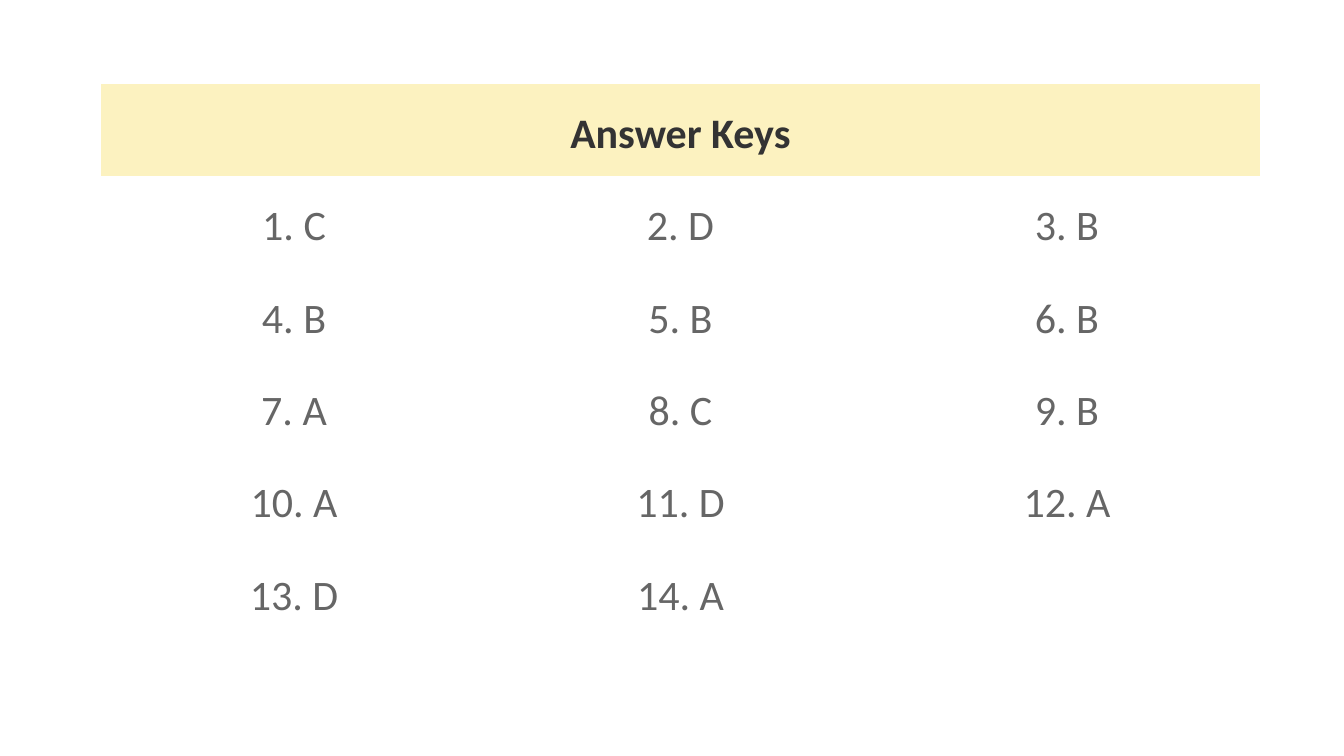
"""Build the answer key slide: a header band above a three-column grid of answers."""
from dataclasses import dataclass

from lxml.etree import SubElement
from pptx import Presentation
from pptx.dml.color import RGBColor
from pptx.enum.text import MSO_ANCHOR, PP_ALIGN
from pptx.oxml.ns import qn
from pptx.util import Inches, Pt

HEADING = "Answer Keys"
ANSWERS = "CDBBBBACBADADA"
COLUMNS = 3
ROWS = 1 + -(-len(ANSWERS) // COLUMNS)
SLIDE_WIDTH, SLIDE_HEIGHT = Inches(13.33), Inches(7.5)
TABLE_LEFT, TABLE_TOP = Inches(1), SLIDE_HEIGHT // 9
TABLE_WIDTH, TABLE_HEIGHT = Inches(11.5), Inches(5.5)


@dataclass(frozen=True)
class Theme:
    font: str = "Calibri"
    size: int = 30
    line_spacing: float = 1.15
    inset: float = 0.01
    heading: str = "333333"
    answer: str = "666666"
    band: str = "FCF2C0"
    paper: str = "FFFFFF"


THEME = Theme()


def style_cell(cell, text, color, fill, bold=False):
    properties = cell._tc.get_or_add_tcPr()
    for side in ("a:lnL", "a:lnR", "a:lnT", "a:lnB"):
        SubElement(SubElement(properties, qn(side)), qn("a:noFill"))
    cell.fill.solid()
    cell.fill.fore_color.rgb = RGBColor.from_string(fill)
    cell.vertical_anchor = MSO_ANCHOR.MIDDLE
    cell.margin_left = cell.margin_right = Inches(THEME.inset)
    cell.margin_top = cell.margin_bottom = Inches(THEME.inset)
    para = cell.text_frame.paragraphs[0]
    para.text = text
    para.alignment = PP_ALIGN.CENTER
    para.line_spacing = THEME.line_spacing
    para.font.name = THEME.font
    para.font.size = Pt(THEME.size)
    para.font.bold = bold
    para.font.color.rgb = RGBColor.from_string(color)


def add_answer_table(page):
    table = page.shapes.add_table(
        ROWS, COLUMNS, TABLE_LEFT, TABLE_TOP, TABLE_WIDTH, TABLE_HEIGHT
    ).table
    table.first_row = table.horz_banding = False
    table.cell(0, 0).merge(table.cell(0, COLUMNS - 1))
    style_cell(table.cell(0, 0), HEADING, THEME.heading, THEME.band, bold=True)
    for index in range((ROWS - 1) * COLUMNS):
        row, column = divmod(index, COLUMNS)
        text = f"{index + 1}. {ANSWERS[index]}" if index < len(ANSWERS) else ""
        style_cell(table.cell(row + 1, column), text, THEME.answer, THEME.paper)


def main():
    deck = Presentation()
    deck.slide_width, deck.slide_height = SLIDE_WIDTH, SLIDE_HEIGHT
    page = deck.slides.add_slide(deck.slide_layouts[6])
    add_answer_table(page)
    deck.save("out.pptx")


if __name__ == "__main__":
    main()
